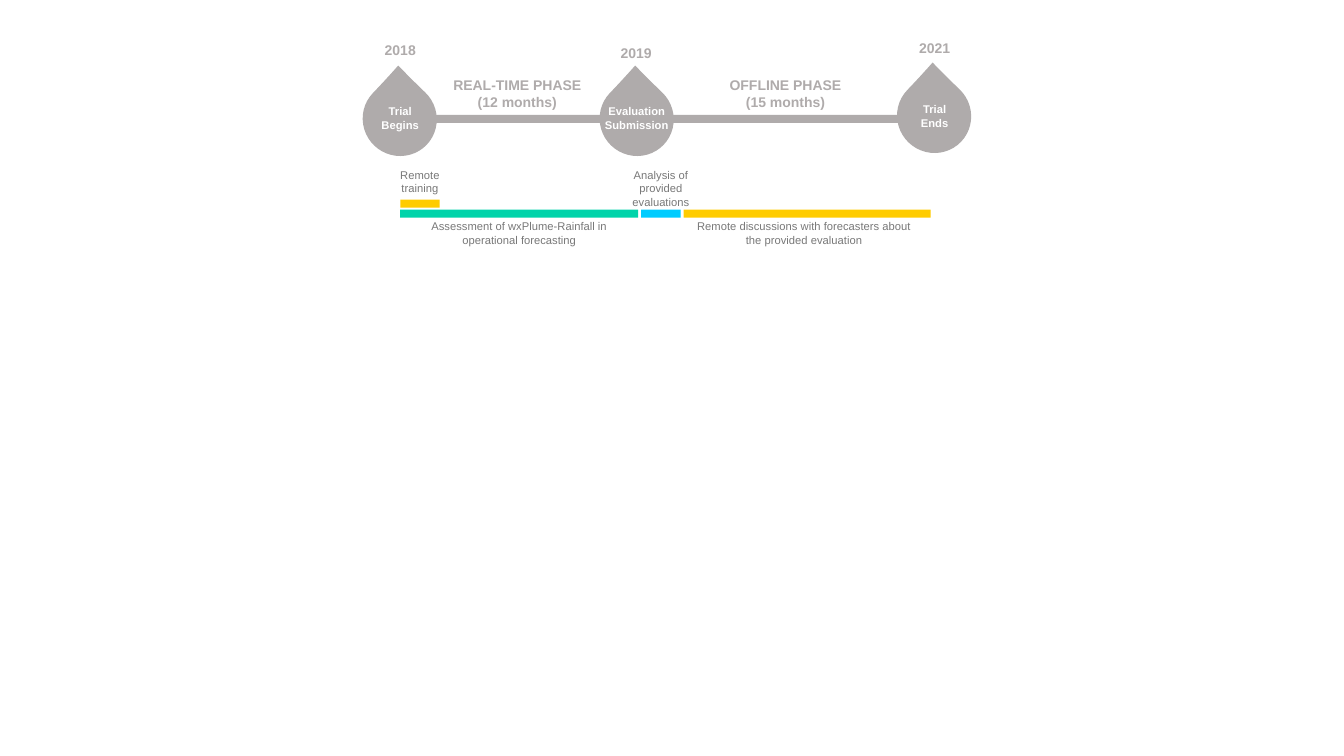
from pptx import Presentation
from pptx.dml.color import RGBColor
from pptx.enum.shapes import MSO_SHAPE
from pptx.enum.text import MSO_AUTO_SIZE, PP_ALIGN
from pptx.util import Inches, Pt

GREY = RGBColor(0xAF, 0xAB, 0xAB)
TEXT_GREY = RGBColor(0x78, 0x78, 0x78)
WHITE = RGBColor(0xFF, 0xFF, 0xFF)
GREEN = RGBColor(0x00, 0xD4, 0xAA)
YELLOW = RGBColor(0xFF, 0xCC, 0x00)
BLUE = RGBColor(0x00, 0xCC, 0xFF)

BAR_HEIGHT = 0.08
DROP_WIDTH, DROP_HEIGHT = 0.73, 0.74


class Timeline:
    font = "Arial"
    styles = {
        "heading": {"size": Pt(10), "bold": True},
        "label": {"size": Pt(8), "bold": True},
        "note": {"size": Pt(8), "bold": False},
    }
    colors = {"heading": GREY, "label": WHITE, "note": TEXT_GREY}

    def __init__(self, slide):
        self.s = slide

    def shape(self, kind, left, top, width, height, color):
        sp = self.s.shapes.add_shape(
            kind, Inches(left), Inches(top), Inches(width), Inches(height))
        sp.shadow.inherit = False
        sp.fill.solid()
        sp.fill.fore_color.rgb = color
        sp.line.fill.background()
        return sp

    def bar(self, left, top, width, color):
        self.shape(MSO_SHAPE.RECTANGLE, left, top, width, BAR_HEIGHT, color)

    def drop(self, left, top):
        sp = self.shape(MSO_SHAPE.TEAR, left, top, DROP_WIDTH, DROP_HEIGHT, GREY)
        sp.adjustments[0] = 1.02
        sp.rotation = 313.8

    def text(self, left, top, width, height, lines, style):
        sp = self.s.shapes.add_textbox(
            Inches(left), Inches(top), Inches(width), Inches(height))
        tf = sp.text_frame
        tf.word_wrap = True
        tf.auto_size = MSO_AUTO_SIZE.SHAPE_TO_FIT_TEXT
        tf.text = "\n".join(lines)
        for p in tf.paragraphs:
            p.alignment = PP_ALIGN.CENTER
            for r in p.runs:
                r.font.name = self.font
                r.font.color.rgb = self.colors[style]
                for name, value in self.styles[style].items():
                    setattr(r.font, name, value)


prs = Presentation()
prs.slide_width, prs.slide_height = Inches(13.33), Inches(7.5)
timeline = Timeline(prs.slides.add_slide(prs.slide_layouts[6]))

bars = [
    (6.31, 1.14, 2.95, GREY),
    (3.95, 1.14, 2.36, GREY),
    (3.97, 2.08, 2.36, GREEN),
    (3.97, 1.98, 0.39, YELLOW),
    (6.36, 2.08, 0.39, BLUE),
    (6.78, 2.08, 2.45, YELLOW),
]
for bar in bars:
    timeline.bar(*bar)

for left, top in [(3.6, 0.81), (5.95, 0.81), (8.9, 0.78)]:
    timeline.drop(left, top)

texts = [
    (3.64, 0.99, 0.66, 0.37, ["Trial", "Begins"], "label"),
    (5.89, 0.99, 0.85, 0.37, ["Evaluation Submission"], "label"),
    (8.94, 0.97, 0.66, 0.37, ["Trial", "Ends"], "label"),
    (3.64, 0.36, 0.66, 0.27, ["2018"], "heading"),
    (5.98, 0.39, 0.66, 0.27, ["2019"], "heading"),
    (8.94, 0.34, 0.66, 0.27, ["2021"], "heading"),
    (4.27, 0.71, 1.72, 0.44, ["REAL-TIME PHASE", "(12 months)"], "heading"),
    (6.93, 0.71, 1.72, 0.44, ["OFFLINE PHASE", "(15 months)"], "heading"),
    (3.86, 1.62, 0.61, 0.37, ["Remote", "training"], "note"),
    (5.97, 1.62, 1.17, 0.5, ["Analysis of provided evaluations"], "note"),
    (3.99, 2.13, 2.32, 0.37,
     ["Assessment of wxPlume-Rainfall in operational forecasting"], "note"),
    (6.75, 2.13, 2.45, 0.37,
     ["Remote discussions with forecasters about the provided evaluation"], "note"),
]
for text in texts:
    timeline.text(*text)

prs.save("out.pptx")
